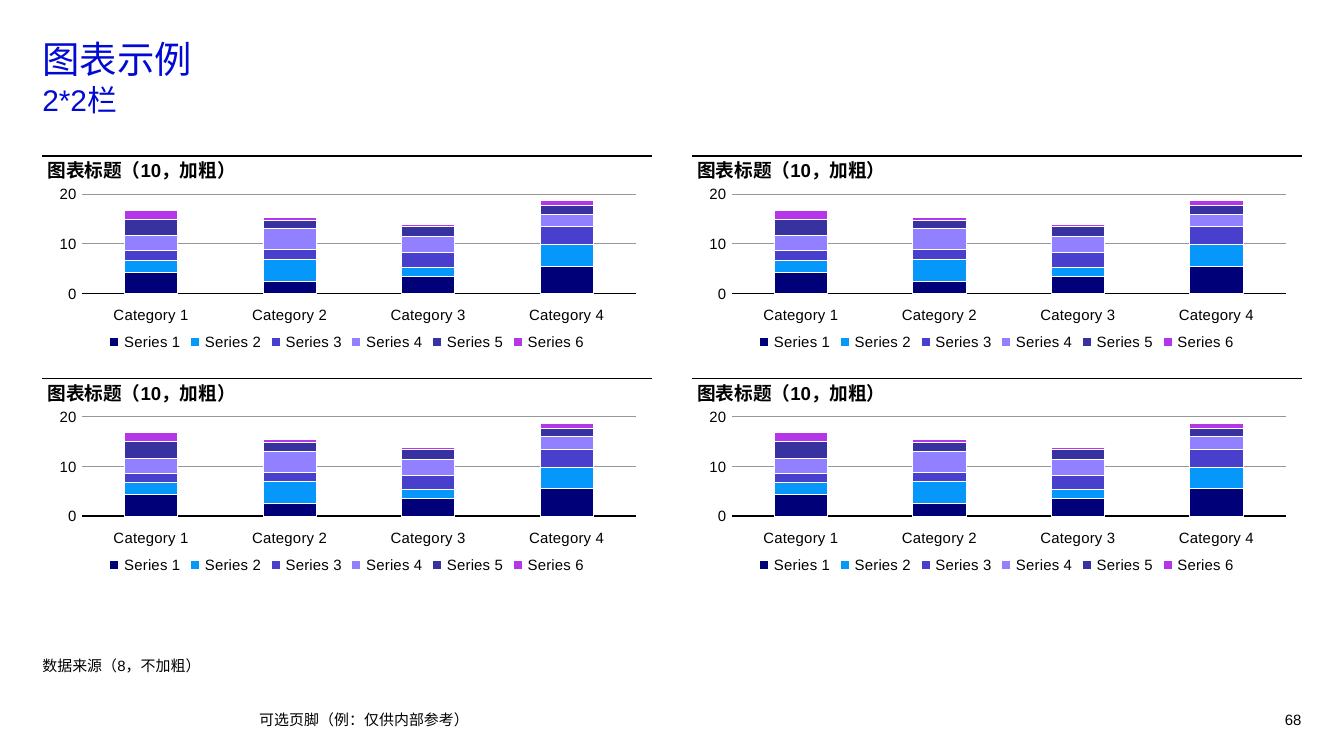
from dataclasses import dataclass
from itertools import product

from lxml.etree import SubElement
from pptx import Presentation
from pptx.chart.data import CategoryChartData
from pptx.dml.color import RGBColor
from pptx.enum.chart import (XL_CHART_TYPE, XL_LEGEND_POSITION,
                             XL_TICK_LABEL_POSITION, XL_TICK_MARK)
from pptx.enum.shapes import MSO_CONNECTOR
from pptx.enum.text import MSO_ANCHOR, MSO_AUTO_SIZE, PP_ALIGN
from pptx.oxml import parse_xml
from pptx.oxml.ns import nsdecls, qn
from pptx.util import Cm, Pt


@dataclass(frozen=True)
class Theme:
    font: str = "Arial"
    asian: str = "Noto Sans CJK SC"
    ink: str = "000000"
    blue: str = "000AD2"
    grid: str = "979797"
    edge: str = "FFFFFF"
    bars: tuple = ("000078", "0598FA", "483FCD", "9180FF", "3831A0", "B436E8")
    title: int = 20
    sub: int = 16
    head: int = 10
    small: int = 8


THEME = Theme()
LEFTS = (0.8, 13.08)
TOPS = (2.95, 7.16)
WIDTH, HEIGHT = 11.52, 3.78
GROUPS = [f"Category {n}" for n in range(1, 5)]
ROWS = (
    (4.3, 2.5, 3.5, 5.5),
    (2.4, 4.4, 1.8, 4.4),
    (2, 2, 3, 3.5),
    (3, 4.2, 3.2, 2.6),
    (3.3, 1.7, 1.9, 1.7),
    (1.8, 0.6, 0.5, 1),
)
PLOT = {"x": 0.065, "y": 0.191, "w": 0.909, "h": 0.497}


def place(shape, left, top, width, height):
    shape.left, shape.top = Cm(left), Cm(top)
    shape.width, shape.height = Cm(width), Cm(height)


def set_frame(frame, anchor):
    frame.word_wrap = True
    frame.auto_size = MSO_AUTO_SIZE.NONE
    frame.vertical_anchor = anchor
    frame.margin_left = frame.margin_right = 0
    frame.margin_top = frame.margin_bottom = 0


def set_font(font, size, color=THEME.ink, bold=False):
    font.name = THEME.font
    font.size = Pt(size)
    font.bold = bold
    font.color.rgb = RGBColor.from_string(color)


def style(par, size, color=THEME.ink, bold=False):
    """Format a paragraph, with the Asian typeface alongside the Latin one."""
    set_font(par.font, size, color, bold)
    props = par._p.get_or_add_pPr().find(qn("a:defRPr"))
    SubElement(props, qn("a:ea")).set("typeface", THEME.asian)


def set_line(line, color, width):
    line.color.rgb = RGBColor.from_string(color)
    line.width = Pt(width)


def fill_title(shape, main, sub):
    place(shape, 0.8, 0.69, 23.8, 1.83)
    set_frame(shape.text_frame, MSO_ANCHOR.TOP)
    par = shape.text_frame.paragraphs[0]
    par.alignment = PP_ALIGN.LEFT
    style(par, THEME.title, THEME.blue)
    first = par.add_run()
    first.text = main
    first.font.name = THEME.asian
    par.add_line_break()
    last = par.add_run()
    last.text = sub
    last.font.size = Pt(THEME.sub)


def fill_source(shape, text):
    place(shape, 0.8, 11.4, 23.8, 1.35)
    set_frame(shape.text_frame, MSO_ANCHOR.BOTTOM)
    par = shape.text_frame.paragraphs[0]
    par.text = text
    props = par._p.get_or_add_pPr()
    props.set("marL", "0")
    props.set("indent", "0")
    SubElement(props, qn("a:buNone"))
    par.space_before = Pt(0)
    par.line_spacing = 1.1
    style(par, THEME.small)


def add_text(slide, text, box, size, bold=False,
             anchor=MSO_ANCHOR.MIDDLE, align=PP_ALIGN.LEFT):
    shape = slide.shapes.add_textbox(*map(Cm, box))
    set_frame(shape.text_frame, anchor)
    par = shape.text_frame.paragraphs[0]
    par.text = text
    par.alignment = align
    style(par, size, bold=bold)


def add_rule(slide, left, top):
    rule = slide.shapes.add_connector(
        MSO_CONNECTOR.STRAIGHT, Cm(left), Cm(top), Cm(left + WIDTH), Cm(top))
    set_line(rule.line, THEME.ink, 0.75)
    SubElement(rule._element.spPr, qn("a:effectLst"))


def fix_plot(chart):
    """Pin the inner plot area to set fractions of the chart."""
    area = chart._chartSpace.chart.plotArea
    for old in area.findall(qn("c:layout")):
        area.remove(old)
    modes = "".join(f'<c:{key}Mode val="edge"/>' for key in "xy")
    sizes = "".join(f'<c:{key} val="{val}"/>' for key, val in PLOT.items())
    area.insert(0, parse_xml(
        f'<c:layout {nsdecls("c")}><c:manualLayout>'
        f'<c:layoutTarget val="inner"/>{modes}{sizes}'
        '</c:manualLayout></c:layout>'))


def style_axes(chart):
    for axis in (chart.category_axis, chart.value_axis):
        axis.major_tick_mark = axis.minor_tick_mark = XL_TICK_MARK.NONE
        set_font(axis.tick_labels.font, THEME.small)
    chart.category_axis.tick_label_position = XL_TICK_LABEL_POSITION.LOW
    set_line(chart.category_axis.format.line, THEME.ink, 1)
    scale = chart.value_axis
    scale.minimum_scale, scale.maximum_scale, scale.major_unit = 0, 20, 10
    scale.format.line.fill.background()
    set_line(scale.major_gridlines.format.line, THEME.grid, 0.5)


def add_chart(slide, left, top):
    data = CategoryChartData()
    data.categories = GROUPS
    for num, row in enumerate(ROWS, 1):
        data.add_series(f"Series {num}", row)
    chart = slide.shapes.add_chart(
        XL_CHART_TYPE.COLUMN_STACKED, Cm(left), Cm(top),
        Cm(WIDTH), Cm(HEIGHT), data).chart
    set_font(chart.font, THEME.small)
    chart.has_title = False
    chart.has_legend = True
    chart.legend.position = XL_LEGEND_POSITION.BOTTOM
    chart.legend.include_in_layout = False
    set_font(chart.legend.font, THEME.small)
    plot = chart.plots[0]
    plot.gap_width, plot.overlap = 160, 100
    plot.vary_by_categories = False
    for bar, color in zip(plot.series, THEME.bars):
        bar.format.fill.solid()
        bar.format.fill.fore_color.rgb = RGBColor.from_string(color)
        set_line(bar.format.line, THEME.edge, 0.5)
    style_axes(chart)
    fix_plot(chart)


def add_panel(slide, left, top):
    add_chart(slide, left, top)
    add_rule(slide, left, top)
    add_text(slide, "图表标题（10，加粗）", (left + 0.1, top + 0.05, 11.4, 0.5),
             THEME.head, bold=True, anchor=MSO_ANCHOR.TOP)


def main():
    deck = Presentation()
    deck.slide_width, deck.slide_height = Cm(25.4), Cm(14.29)
    slide = deck.slides.add_slide(deck.slide_layouts[1])
    fill_title(slide.shapes.title, "图表示例", "2*2栏")
    fill_source(slide.placeholders[1], "数据来源（8，不加粗）")
    for top, left in product(TOPS, LEFTS):
        add_panel(slide, left, top)
    add_text(slide, "可选页脚（例：仅供内部参考）", (4.9, 13.41, 16.4, 0.38),
             THEME.small)
    add_text(slide, "68", (23.62, 13.41, 0.98, 0.38), THEME.small,
             align=PP_ALIGN.RIGHT)
    deck.save("out.pptx")


if __name__ == "__main__":
    main()
